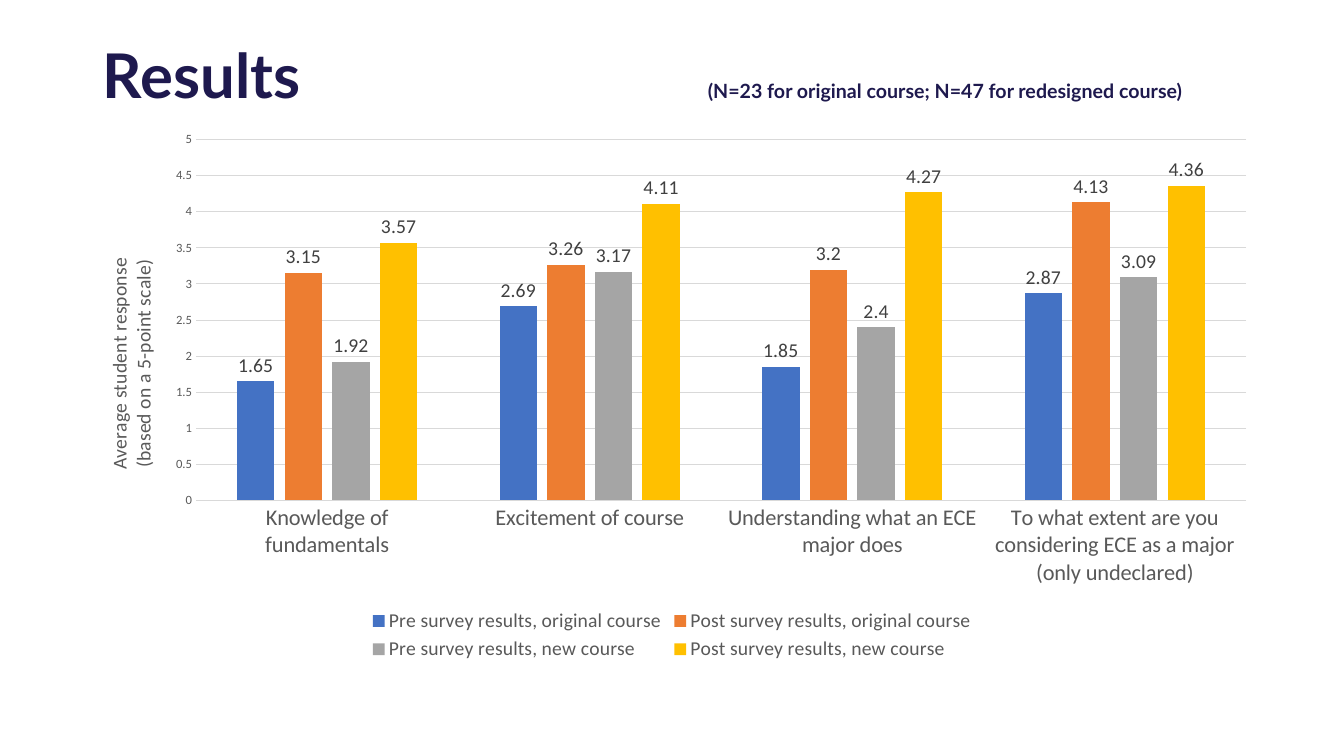
from lxml.etree import SubElement
from pptx import Presentation
from pptx.chart.data import CategoryChartData
from pptx.dml.color import RGBColor
from pptx.enum.chart import XL_CHART_TYPE as ChartType
from pptx.enum.chart import XL_LABEL_POSITION as LabelPosition
from pptx.enum.chart import XL_LEGEND_POSITION as LegendPosition
from pptx.enum.chart import XL_TICK_MARK as TickMark
from pptx.enum.text import MSO_ANCHOR as Anchor
from pptx.enum.text import MSO_AUTO_SIZE as AutoSize
from pptx.enum.text import PP_ALIGN as Align
from pptx.oxml.ns import qn
from pptx.util import Inches, Pt

COLORS = {
    "navy": "1E194E", "axis": "595959", "label": "404040", "grid": "D9D9D9",
    "blue": "4472C4", "orange": "ED7D31", "gray": "A5A5A5", "yellow": "FFC000",
}
CATEGORIES = [
    "Knowledge of fundamentals",
    "Excitement of course",
    "Understanding what an ECE major does",
    "To what extent are you considering ECE as a major (only undeclared)",
]
SURVEYS = [
    ("Pre survey results, original course", "blue", (1.65, 2.69, 1.85, 2.87)),
    ("Post survey results, original course", "orange", (3.15, 3.26, 3.2, 4.13)),
    ("Pre survey results, new course", "gray", (1.92, 3.17, 2.4, 3.09)),
    ("Post survey results, new course", "yellow", (3.57, 4.11, 4.27, 4.36)),
]


class ResultsDeck:
    heading_font = "Lato"
    chart_font = "Calibri"

    def __init__(self):
        self.presentation = Presentation()
        self.presentation.slide_width = Inches(13.33)
        self.presentation.slide_height = Inches(7.5)
        self.slide = None

    def add_slide(self):
        layout = self.presentation.slide_layouts[5]
        self.slide = self.presentation.slides.add_slide(layout)

    def box(self, left, top, width, height):
        across, down = self.presentation.slide_width, self.presentation.slide_height
        return (int(left * across), int(top * down),
                int(width * across), int(height * down))

    def color(self, name):
        return RGBColor.from_string(COLORS[name])

    def style(self, font, size, color, name, bold=False):
        font.size = Pt(size)
        font.name = name
        font.bold = bold
        font.color.rgb = self.color(color)

    def title(self, share, runs, tab_stop):
        shape = self.slide.shapes.title
        shape.left, shape.top, shape.width, shape.height = self.box(*share)
        frame = shape.text_frame
        frame.word_wrap = True
        frame.auto_size = AutoSize.NONE
        frame.vertical_anchor = Anchor.TOP
        paragraph = frame.paragraphs[0]
        paragraph.alignment = Align.LEFT
        paragraph.line_spacing = 0.9
        tabs = SubElement(paragraph._p.get_or_add_pPr(), qn("a:tabLst"))
        SubElement(tabs, qn("a:tab"), pos=str(Inches(tab_stop)), algn="l")
        for text, size in runs:
            run = paragraph.add_run()
            run.text = text
            self.style(run.font, size, "navy", self.heading_font, True)

    def place(self, layout, **settings):
        manual = SubElement(layout, qn("c:manualLayout"))
        for name, value in settings.items():
            SubElement(manual, qn(f"c:{name}"), val=str(value))

    def chart(self, share, categories, surveys, axis_lines):
        data = CategoryChartData()
        data.categories = categories
        for name, _, values in surveys:
            data.add_series(name, values)
        chart = self.slide.shapes.add_chart(
            ChartType.COLUMN_CLUSTERED, *self.box(*share), data).chart
        chart.has_title = False
        chart.font.size = Pt(10)
        chart.font.name = self.chart_font
        self.legend(chart)
        self.columns(chart.plots[0], surveys)
        self.axes(chart, axis_lines)
        plot_area = chart.element.find(".//" + qn("c:plotArea"))
        layout = plot_area.find(qn("c:layout"))
        if layout is None:
            layout = SubElement(plot_area, qn("c:layout"))
            plot_area.insert(0, layout)
        self.place(layout, layoutTarget="inner", xMode="edge", yMode="edge",
                   x=0.102, y=0.033, w=0.878, h=0.664)

    def legend(self, chart):
        chart.has_legend = True
        chart.legend.position = LegendPosition.BOTTOM
        chart.legend.include_in_layout = False
        self.style(chart.legend.font, 14, "axis", self.chart_font)

    def columns(self, plot, surveys):
        plot.gap_width = 219
        plot.overlap = -27
        plot.vary_by_categories = False
        for series, (_, color, _) in zip(plot.series, surveys):
            series.invert_if_negative = False
            series.format.fill.solid()
            series.format.fill.fore_color.rgb = self.color(color)
            labels = series.data_labels
            labels.show_value = True
            labels.position = LabelPosition.OUTSIDE_END
            self.style(labels.font, 14, "label", self.chart_font)

    def axes(self, chart, axis_lines):
        category_axis, value_axis = chart.category_axis, chart.value_axis
        for axis, size in ((category_axis, 16), (value_axis, 9)):
            axis.major_tick_mark = TickMark.NONE
            axis.minor_tick_mark = TickMark.NONE
            self.style(axis.tick_labels.font, size, "axis", self.chart_font)
        value_axis.minimum_scale, value_axis.maximum_scale = 0, 5
        value_axis.major_unit = 0.5
        value_axis.has_major_gridlines = True
        value_axis.format.line.fill.background()
        for line in (category_axis.format.line, value_axis.major_gridlines.format.line):
            line.width = Pt(0.75)
            line.color.rgb = self.color("grid")
        frame = value_axis.axis_title.text_frame
        for index, text in enumerate(axis_lines):
            paragraph = frame.add_paragraph() if index else frame.paragraphs[0]
            paragraph.alignment = Align.CENTER
            run = paragraph.add_run()
            run.text = text
            self.style(run.font, 14, "axis", self.chart_font)
        title = chart.element.find(".//" + qn("c:valAx")).find(qn("c:title"))
        body = title.find(".//" + qn("a:bodyPr"))
        body.set("rot", "-5400000")
        body.set("vert", "horz")
        self.place(title.find(qn("c:layout")), xMode="edge", yMode="edge",
                   x=0.024, y=0.245)

    def save(self):
        self.presentation.save("out.pptx")


def main():
    deck = ResultsDeck()
    deck.add_slide()
    deck.title((0.069, 0.053, 0.923, 0.193), [
        ("Results\t", 44),
        ("(N=23 for original course; N=47 for redesigned course)", 14),
    ], tab_stop=6)
    deck.chart((0.055, 0.161, 0.89, 0.719), CATEGORIES, SURVEYS,
               ["Average student response", "(based on a 5-point scale)"])
    deck.save()


if __name__ == "__main__":
    main()
